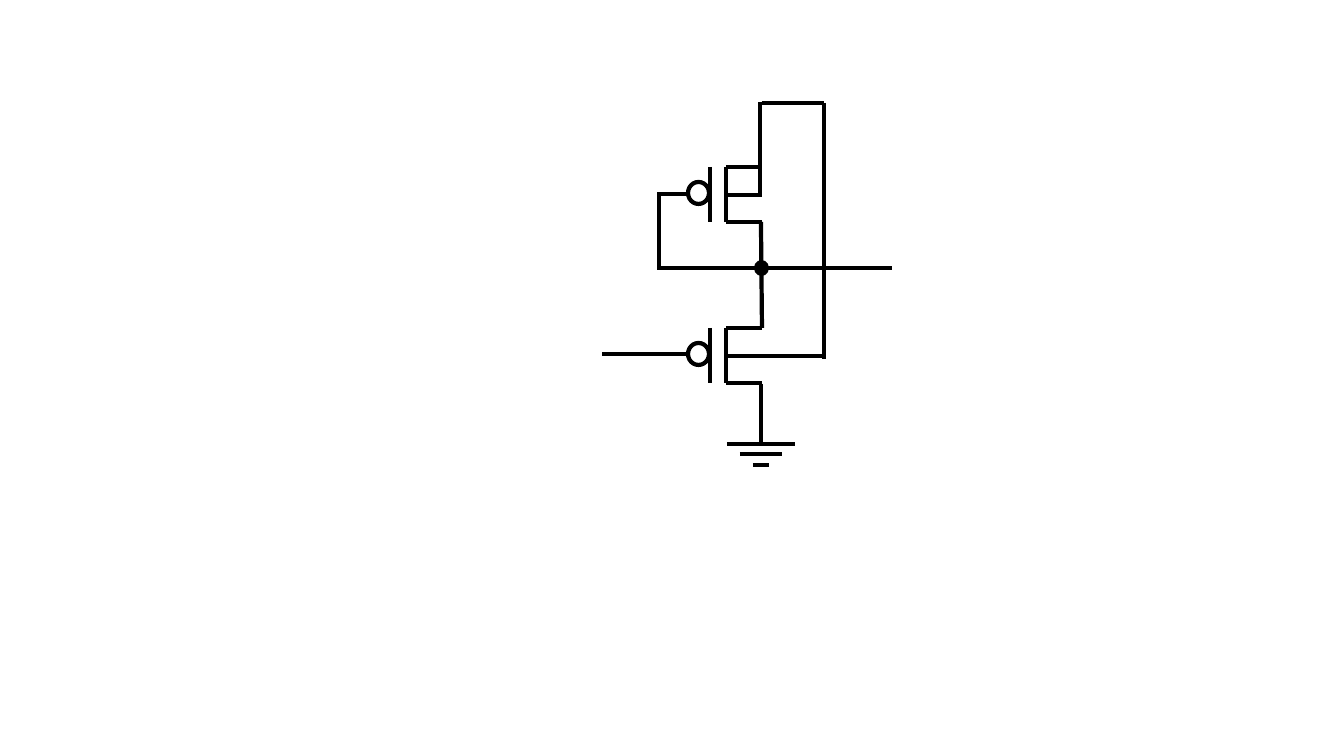
from lxml import etree
from pptx import Presentation
from pptx.dml.color import RGBColor
from pptx.enum.shapes import MSO_CONNECTOR, MSO_SHAPE
from pptx.oxml.ns import qn
from pptx.util import Pt

STRAIGHT = MSO_CONNECTOR.STRAIGHT
OVAL = MSO_SHAPE.OVAL
COLORS = {"ink": "000000", "paper": "FFFFFF"}
EMU_PER_INCH = 914400
PX_PER_INCH = 100.8
LINE_WIDTH = Pt(3)


def px(n):
    """Turn pixels into EMU."""
    return round(n * EMU_PER_INCH / PX_PER_INCH)


def color(name):
    """Look up a named colour."""
    return RGBColor.from_string(COLORS[name])


def add_wire(shapes, x1, y1, x2, y2):
    """Draw a straight black wire."""
    c = shapes.add_connector(STRAIGHT, px(x1), px(y1), px(x2), px(y2))
    c.line.color.rgb = color("ink")
    c.line.width = LINE_WIDTH
    etree.SubElement(c._element.spPr, qn("a:effectLst"))


def add_circle(shapes, x, y, w, h, fill, outlined):
    """Draw a filled circle, with or without an outline."""
    sp = shapes.add_shape(OVAL, px(x), px(y), px(w), px(h))
    sp.shadow.inherit = False
    sp.fill.solid()
    sp.fill.fore_color.rgb = color(fill)
    if outlined:
        sp.line.color.rgb = color("ink")
        sp.line.width = LINE_WIDTH
    else:
        sp.line.fill.background()


def add_transistor(shapes, top):
    """Draw a PMOS transistor with gate bubble and body terminal."""
    group = shapes.add_group_shape().shapes
    bottom = top + 55
    for x in (710, 726):
        add_wire(group, x, top, x, bottom)
    for y in (top, top + 28, bottom):
        add_wire(group, 726, y, 762, y)
    add_circle(group, 688, top + 15, 21, 22, "paper", True)


def add_ground(shapes, x, y):
    """Draw a ground symbol whose bars narrow downwards."""
    group = shapes.add_group_shape().shapes
    add_wire(group, x, y - 19, x, y)
    for i, half in enumerate((34, 21, 8)):
        bar = y + round(i * 10.5)
        add_wire(group, x - half, bar, x + half, bar)


def main():
    """Build the circuit slide."""
    prs = Presentation()
    prs.slide_width = px(1344)
    prs.slide_height = px(756)
    s = prs.slides.add_slide(prs.slide_layouts[6])

    for top in (328, 167):
        add_transistor(s.shapes, top)

    wires = (
        (761, 222, 762, 328),
        (659, 268, 659, 193),
        (688, 194, 657, 194),
        (760, 102, 760, 195),
        (824, 103, 824, 359),
        (824, 356, 761, 356),
        (762, 103, 824, 103),
        (761, 384, 761, 429),
        (892, 268, 657, 268),
        (690, 354, 602, 354),
    )
    for wire in wires:
        add_wire(s.shapes, *wire)
    add_circle(s.shapes, 754, 260, 15, 16, "ink", False)
    add_ground(s.shapes, 761, 444)

    prs.save("out.pptx")


if __name__ == "__main__":
    main()
